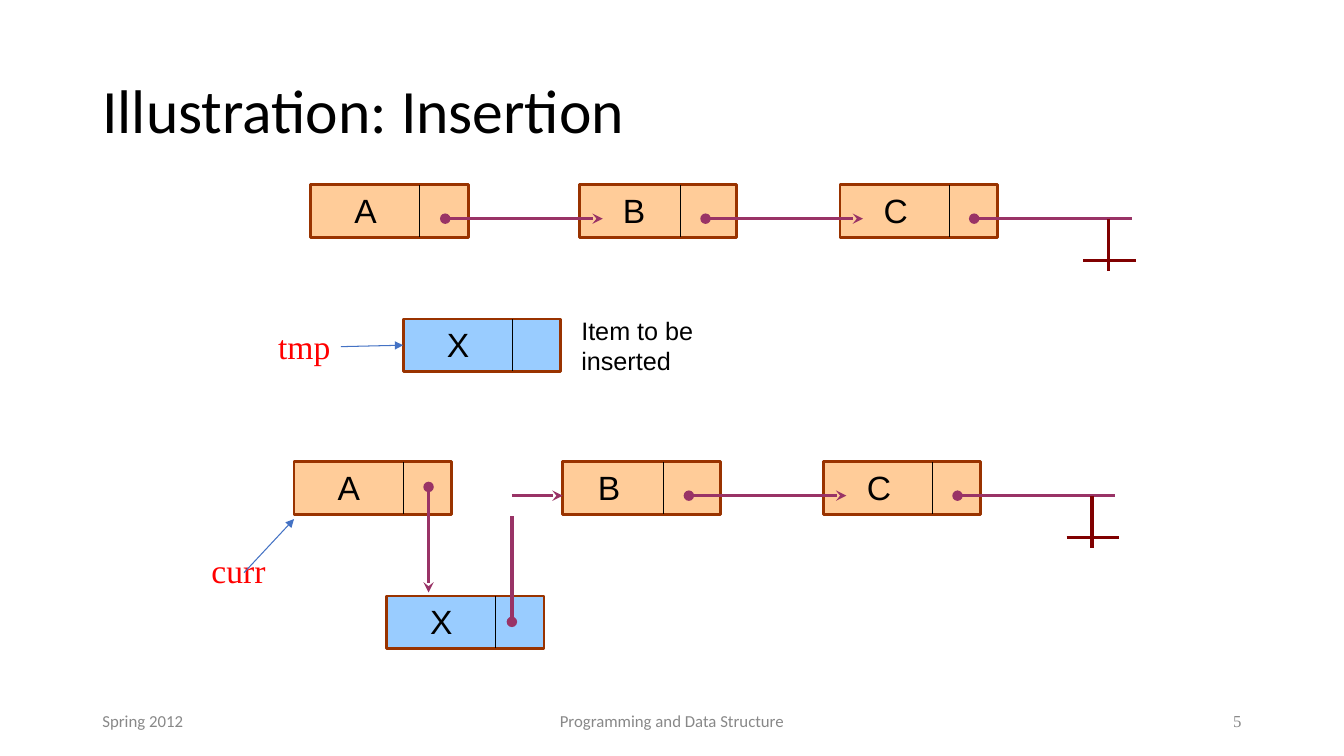
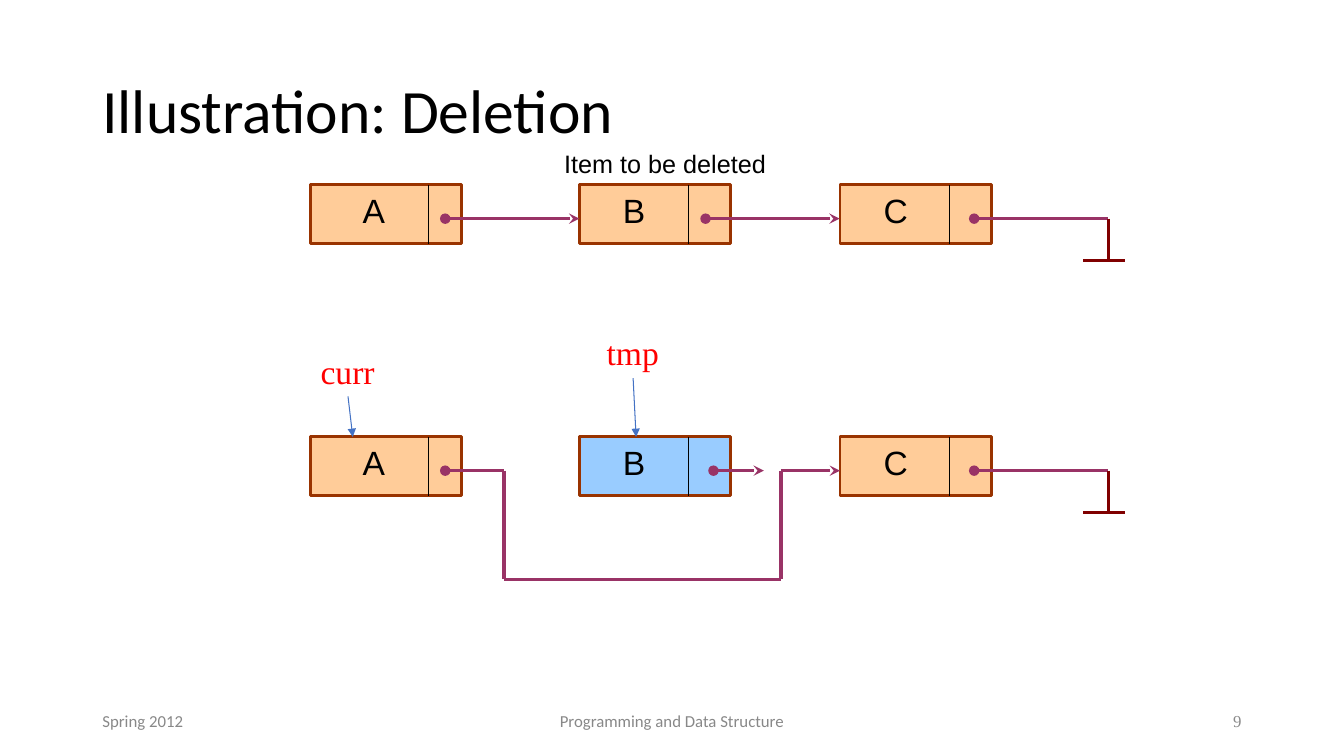
import pptx
import pptx.util
import pptx.dml.color
import pptx.enum.shapes
import pptx.enum.text
import pptx.oxml
import pptx.oxml.ns

Cm, Pt = pptx.util.Cm, pptx.util.Pt
hue = pptx.dml.color.RGBColor.from_string
ALIGN = pptx.enum.text.PP_ALIGN
ANCHOR = pptx.enum.text.MSO_ANCHOR
PEACH, SKY, BROWN = "FFCC99", "99CCFF", "993300"
PLUM, MAROON, BLUE = "993366", "800000", "4472C4"
BLACK, RED, GREY = "000000", "FF0000", "888888"


def write(slide, text, x, y, w, h, size=24, font="Arial", color=BLACK,
          align=ALIGN.LEFT, anchor=ANCHOR.TOP, wrap=True, space=1.0):
    box = slide.shapes.add_textbox(Cm(x), Cm(y), Cm(w), Cm(h))
    frame = box.text_frame
    frame.word_wrap = wrap
    frame.vertical_anchor = anchor
    para = frame.paragraphs[0]
    para.alignment = align
    para.line_spacing = space
    run = para.add_run()
    run.text = text
    run.font.size = Pt(size)
    run.font.name = font
    run.font.color.rgb = hue(color)
    return box


def draw(slide, x1, y1, x2, y2, color=PLUM, width=2.5, head=None, tail=None):
    line = slide.shapes.add_connector(
        pptx.enum.shapes.MSO_CONNECTOR.STRAIGHT, Cm(x1), Cm(y1), Cm(x2), Cm(y2))
    line.line.color.rgb = hue(color)
    line.line.width = Pt(width)
    pen = line.line._get_or_add_ln()
    for tag, kind in (("a:headEnd", head), ("a:tailEnd", tail)):
        if kind:
            end = pptx.oxml.ns.qn(tag)
            pen.append(pen.makeelement(end, {"type": kind}))
    props = line._element.spPr
    props.append(props.makeelement(pptx.oxml.ns.qn("a:effectLst"), {}))
    return line


deck = pptx.Presentation()
deck.slide_width, deck.slide_height = Cm(33.87), Cm(19.05)

# Shared columns and the height of the first chain
COL_A, COL_B, COL_C = 7.83, 14.6, 21.17
TOP, WIRE = 4.66, 5.51
DOT_A, DOT_B, DOT_C = 11.22, 17.78, 24.55
EARTH_X, EARTH_Y, EARTH_L = 27.94, 6.56, 27.3

# Second chain: shift from the first
IN_X, IN_Y = -0.42, 6.98
OUT_Y = 6.35
LOW = WIRE + OUT_Y

# Nodes: letter, left, top, divider offset, letter offset, fill
insert = [
    ("A", COL_A, TOP, 2.75, 0.85, PEACH),
    ("B", COL_B, TOP, 2.54, 0.85, PEACH),
    ("C", COL_C, TOP, 2.75, 0.85, PEACH),
    ("X", 10.16, 8.04, 2.75, 0.85, SKY),
    ("A", COL_A + IN_X, TOP + IN_Y, 2.75, 0.85, PEACH),
    ("B", COL_B + IN_X, TOP + IN_Y, 2.54, 0.64, PEACH),
    ("C", COL_C + IN_X, TOP + IN_Y, 2.75, 0.85, PEACH),
    ("X", 10.16 + IN_X, 8.04 + IN_Y, 2.75, 0.85, SKY),
]
delete = [
    (name, x, y, gap, pad, SKY if name == "B" and y > TOP else PEACH)
    for y in (TOP, TOP + OUT_Y)
    for name, x, gap, pad in (("A", COL_A, 2.96, 1.06),
                              ("B", COL_B, 2.75, 0.85),
                              ("C", COL_C, 2.75, 0.85))
]

# Chains: shift, link length, stem and bar of the ground, dots that link on
# Links: start, end, head, tail
# Hints: text, box, start side, arrow start and end, node and side to join
pages = [
    dict(title="Illustration: Insertion", page="5", size=(3.97, 1.32),
         nodes=insert, reach=3.97, stem=1.32, bar=1.32,
         chains=[(0, 0, (DOT_A, DOT_B)), (IN_X, IN_Y, (DOT_B,))],
         links=[(12.9, 12.49, 14.18, 12.49, None, "stealth"),
                (10.8, 12.27, 10.8, 14.93, "oval", "stealth"),
                (12.9, 15.67, 12.9, 13, "oval", None)],
         note=("Item to be inserted", 14.4, 7.82, 4.65, 1.8),
         hints=[("curr", 5.08, 13.74, 1.88, 1.3, None,
                 (6.15, 14.43, 7.41, 13.08), None),
                ("tmp", 6.76, 8.1, 1.83, 1.27, 3,
                 (8.59, 8.74, 10.16, 8.7), (3, 1))]),
    dict(title="Illustration: Deletion", page="9", size=(3.81, 1.48),
         nodes=delete, reach=3.38, stem=1.05, bar=1.06,
         chains=[(0, 0, (DOT_A, DOT_B)), (0, OUT_Y, ())],
         links=[(DOT_A, LOW, 12.7, LOW, "oval", None),
                (12.7, LOW, 12.7, 14.6, None, None),
                (12.7, 14.6, 19.68, 14.6, None, None),
                (19.68, 14.6, 19.68, LOW, None, None),
                (19.68, LOW, COL_C, LOW, None, "stealth"),
                (17.98, LOW, 19.25, LOW, "oval", "stealth")],
         note=("Item to be deleted", 13.97, 3.61, 6.98, 1.02),
         hints=[("curr", 7.83, 8.71, 1.88, 1.28, 2,
                 (8.77, 9.99, 8.89, 11.01), None),
                ("tmp", 15.04, 8.25, 1.83, 1.28, 2,
                 (15.95, 9.53, 16.03, 11.01), None)]),
]

for page in pages:
    slide = deck.slides.add_slide(deck.slide_layouts[6])

    # Title and footer
    write(slide, page["title"], 2.33, 1.01, 29.21, 3.68, size=44,
          font="Calibri", anchor=ANCHOR.MIDDLE, space=0.9)
    for text, x, w, align, font, color in (
            ("Spring 2012", 2.33, 7.62, ALIGN.LEFT, "Calibri", GREY),
            ("Programming and Data Structure", 11.22, 11.43, ALIGN.CENTER,
             "Calibri", GREY),
            (page["page"], 23.92, 7.62, ALIGN.RIGHT, "Times New Roman", "898989")):
        write(slide, text, x, 17.66, w, 1.01, size=12, font=font, color=color,
              align=align, anchor=ANCHOR.MIDDLE)

    # Nodes
    wide, high = page["size"]
    boxes = []
    for name, x, y, gap, pad, fill in page["nodes"]:
        box = slide.shapes.add_shape(pptx.enum.shapes.MSO_SHAPE.RECTANGLE,
                                     Cm(x), Cm(y), Cm(wide), Cm(high))
        box.shadow.inherit = False
        box.fill.solid()
        box.fill.fore_color.rgb = hue(fill)
        box.line.color.rgb = hue(BROWN)
        box.line.width = Pt(2)
        boxes.append(box)
        draw(slide, x + gap, y, x + gap, y + high, color=BLACK, width=0.75)
        write(slide, name, x + pad, y, 1.5, 1.3)

    # Chains, each ending in a ground sign
    for dx, dy, dots in page["chains"]:
        y = WIRE + dy
        for dot in dots:
            draw(slide, dot + dx, y, dot + dx + page["reach"], y,
                 head="oval", tail="stealth")
        draw(slide, DOT_C + dx, y, DOT_C + dx + page["reach"], y, head="oval")
        stem, left, base = EARTH_X + dx, EARTH_L + dx, EARTH_Y + dy
        draw(slide, stem, y, stem, y + page["stem"], color=MAROON)
        draw(slide, left, base, left + page["bar"], base, color=MAROON)

    # Changed links
    for *ends, head, tail in page["links"]:
        draw(slide, *ends, head=head, tail=tail)

    # Note and pointer names
    write(slide, *page["note"], size=18)
    for text, x, y, w, h, side, ends, join in page["hints"]:
        label = write(slide, text, x, y, w, h, font="Times New Roman",
                      color=RED, wrap=False)
        arrow = draw(slide, *ends, color=BLUE, width=0.75, tail="triangle")
        if side is not None:
            arrow.begin_connect(label, side)
        if join:
            arrow.end_connect(boxes[join[0]], join[1])

deck.save("out.pptx")
